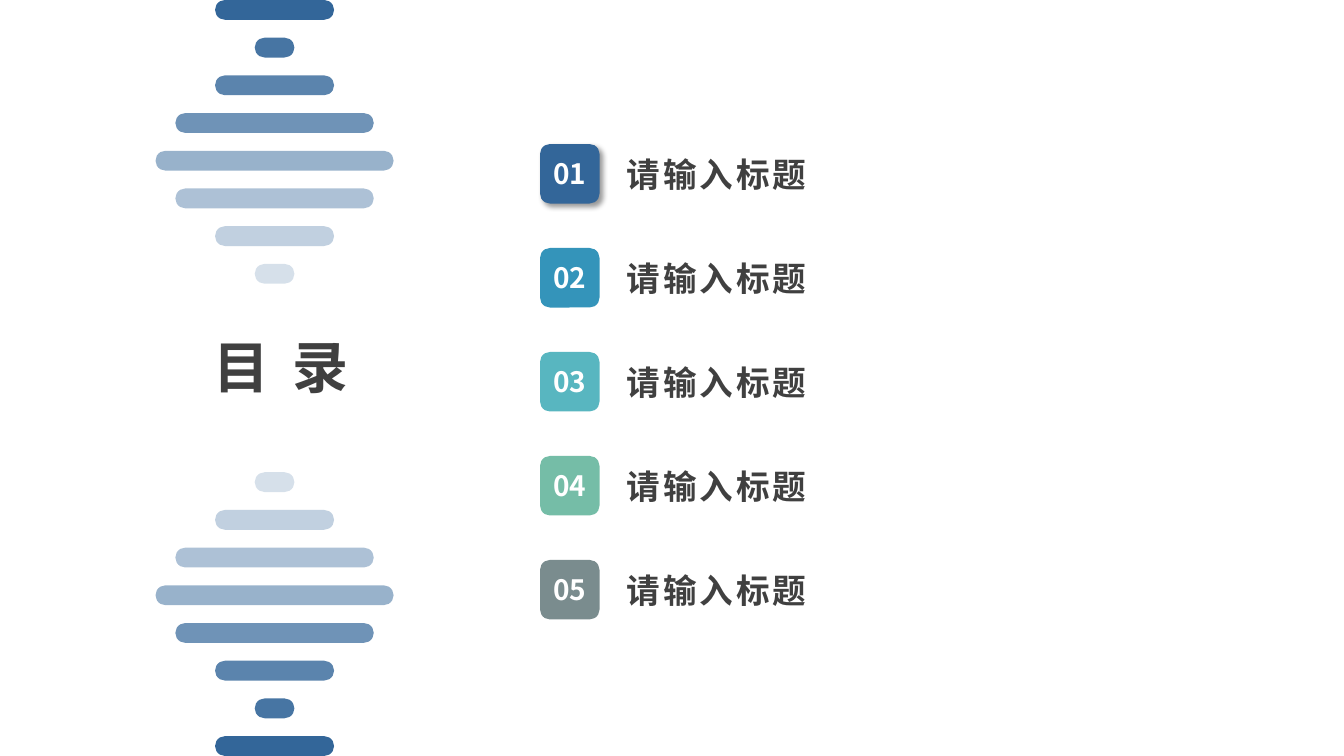
from pptx import Presentation
from pptx.dml.color import RGBColor
from pptx.enum.shapes import MSO_SHAPE as Shape
from pptx.enum.text import MSO_ANCHOR as Anchor, MSO_AUTO_SIZE as AutoSize, PP_ALIGN as Align
from pptx.oxml.ns import qn
from pptx.util import Cm, Pt
from lxml.etree import SubElement

COLOURS = {"bar": "336699", "text": "404040", "number": "FFFFFF", "shadow": "000000"}
TILE_COLOURS = ["336699", "3494BA", "58B6C0", "75BDA7", "7A8C8E"]
SLIDE_W, SLIDE_H = 33.87, 19.05

# Width in cm and opacity in percent, from the slide's edge inwards
BARS = [(3, 100), (1, 90), (3, 80), (5, 70), (6, 50), (5, 40), (3, 30), (1, 20)]
BAR_H, BAR_PITCH, BAR_CENTRE = 0.5, 0.95, 6.92

TILE_LEFT, TILE_TOP, TILE_SIZE, TILE_PITCH = 13.61, 3.63, 1.5, 2.62
LABEL_LEFT, LABEL_W, LABEL_H = 15.55, 14.94, 1.28


def write(frame, text, size, colour, align=Align.LEFT, spacing=0):
    """Fill a text frame with one bold line; spacing is between characters, in points."""
    frame.auto_size = AutoSize.NONE
    frame.word_wrap = True
    frame.vertical_anchor = Anchor.MIDDLE
    paragraph = frame.paragraphs[0]
    paragraph.alignment = align
    run = paragraph.add_run()
    run.text = text
    font = run.font
    font.size, font.bold, font.name = Pt(size), True, ContentsSlide.FONT
    font.color.rgb = RGBColor.from_string(colour)
    properties = run._r.get_or_add_rPr()
    properties.set("spc", str(spacing * 100))
    SubElement(properties, qn("a:ea"), typeface=ContentsSlide.FONT)


class ContentsSlide:
    FONT = "Noto Sans CJK SC"

    def __init__(self, deck):
        self.slide = deck.slides.add_slide(deck.slide_layouts[5])

    def title(self, text, left, top, width, height):
        heading = self.slide.shapes.title
        heading.left, heading.top = Cm(left), Cm(top)
        heading.width, heading.height = Cm(width), Cm(height)
        write(heading.text_frame, text, 40, COLOURS["text"], align=Align.CENTER, spacing=4)

    def rounded(self, left, top, width, height, colour, opacity=100):
        box = self.slide.shapes.add_shape(
            Shape.ROUNDED_RECTANGLE, Cm(left), Cm(top), Cm(width), Cm(height))
        box.shadow.inherit = False
        box.line.fill.background()
        box.fill.solid()
        box.fill.fore_color.rgb = RGBColor.from_string(colour)
        if opacity < 100:
            fill = box._element.spPr.find(qn("a:solidFill"))
            SubElement(fill[0], qn("a:alpha"), val=str(opacity * 1000))
        return box

    def bar(self, top, width, opacity):
        bar = self.rounded(BAR_CENTRE - width / 2, top, width, BAR_H, COLOURS["bar"], opacity)
        bar.adjustments[0] = 0.5

    def tile(self, number, top, colour):
        tile = self.rounded(TILE_LEFT, top, TILE_SIZE, TILE_SIZE, colour)
        frame = tile.text_frame
        frame.margin_left = frame.margin_right = frame.margin_top = frame.margin_bottom = 0
        write(frame, number, 20, COLOURS["number"], align=Align.CENTER)
        return tile

    def cast_shadow(self, shape):
        effects = shape._element.spPr.find(qn("a:effectLst"))
        shadow = SubElement(effects, qn("a:outerShdw"), blurRad=str(Pt(4)), dist=str(Pt(3)),
                            dir=str(45 * 60000), algn="tl", rotWithShape="0")
        colour = SubElement(shadow, qn("a:srgbClr"), val=COLOURS["shadow"])
        SubElement(colour, qn("a:alpha"), val="40000")

    def label(self, text, top):
        label = self.slide.shapes.add_textbox(
            Cm(LABEL_LEFT), Cm(top), Cm(LABEL_W), Cm(LABEL_H))
        write(label.text_frame, text, 24, COLOURS["text"], spacing=2)


def main():
    deck = Presentation()
    deck.slide_width, deck.slide_height = Cm(SLIDE_W), Cm(SLIDE_H)
    contents = ContentsSlide(deck)

    for step, (width, opacity) in enumerate(BARS):
        offset = step * BAR_PITCH
        for top in (offset, SLIDE_H - BAR_H - offset):
            contents.bar(top, width, opacity)

    contents.title("目 录", 2.9, 8.23, 8.36, 1.98)

    for row, colour in enumerate(TILE_COLOURS):
        top = TILE_TOP + row * TILE_PITCH
        tile = contents.tile(f"{row + 1:02}", top, colour)
        if row == 0:
            contents.cast_shadow(tile)
        contents.label("请输入标题", top + (TILE_SIZE - LABEL_H) / 2)

    deck.save("out.pptx")


if __name__ == "__main__":
    main()
